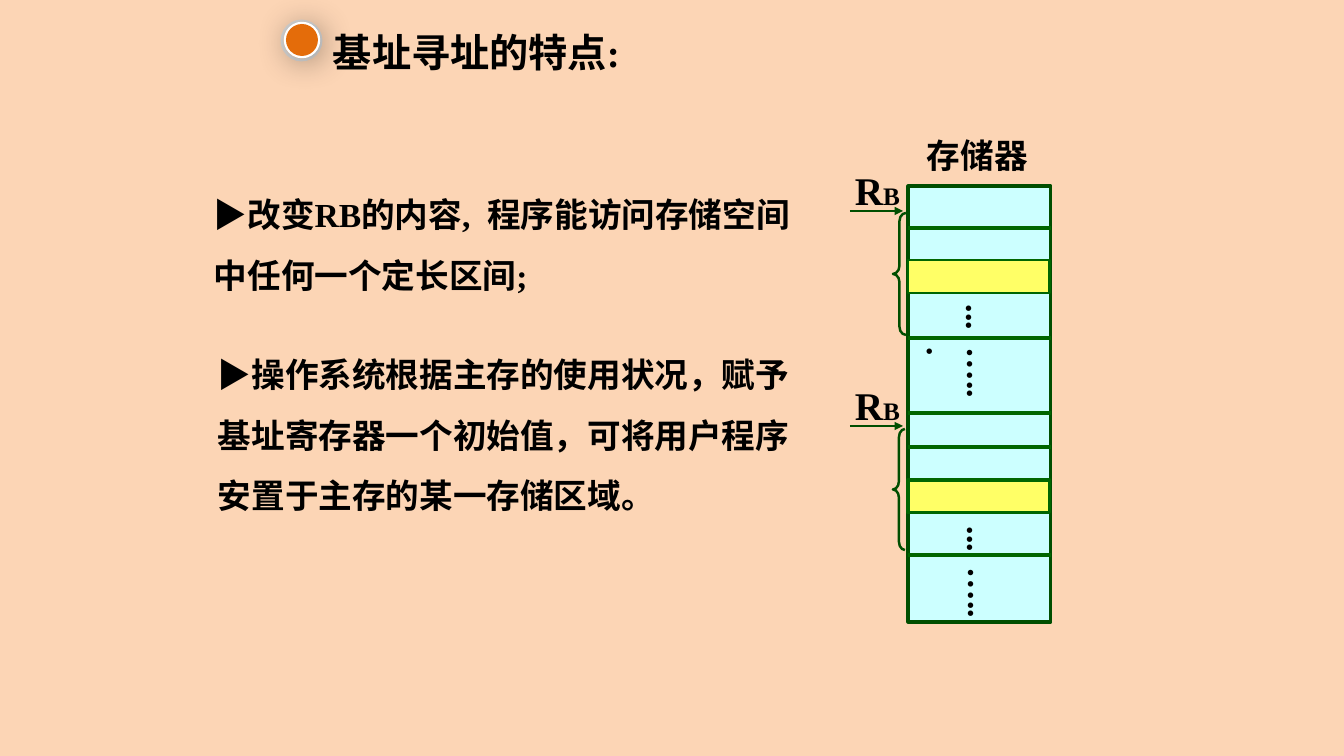
"""Builds a slide on the features of base-register addressing."""
from dataclasses import dataclass

from lxml import etree
from pptx import Presentation
from pptx.dml.color import RGBColor
from pptx.enum.shapes import MSO_CONNECTOR, MSO_SHAPE
from pptx.enum.text import MSO_AUTO_SIZE
from pptx.oxml.ns import qn
from pptx.util import Pt

STRAIGHT = MSO_CONNECTOR.STRAIGHT
RECTANGLE = MSO_SHAPE.RECTANGLE
OVAL = MSO_SHAPE.OVAL
LEFT_BRACE = MSO_SHAPE.LEFT_BRACE
GROW = MSO_AUTO_SIZE.SHAPE_TO_FIT_TEXT


@dataclass(frozen=True)
class Theme:
    background: str = "FCD5B5"
    ink: str = "000000"
    outline: str = "004E00"
    divider: str = "006600"
    memory: str = "CCFFFF"
    target: str = "FFFF66"
    bullet: str = "E46C0A"
    ring: str = "D9D9D9"
    halo: str = "FFFFFF"
    halo_fill: tuple = ("F6F9FC", "F2F2F2")
    latin: str = "Times New Roman"
    chinese: str = "Noto Sans CJK SC"
    large: int = 28
    body: int = 24
    small: int = 18


class SlideBuilder:
    def __init__(self, theme, width, height):
        self.theme = theme
        self.deck = Presentation()
        self.deck.slide_width = self.px(width)
        self.deck.slide_height = self.px(height)
        self.slide = self.deck.slides.add_slide(self.deck.slide_layouts[6])
        background = self.slide.background.fill
        background.solid()
        background.fore_color.rgb = RGBColor.from_string(theme.background)

    @staticmethod
    def px(length):
        return round(length * 914400 / 100.8)

    def text(self, box, runs, spacing=1.0, vertical=False):
        label = self.slide.shapes.add_textbox(*map(self.px, box))
        frame = label.text_frame
        for name, value in {"word_wrap": True, "auto_size": GROW}.items():
            setattr(frame, name, value)
        if vertical:
            label.element.txBody.bodyPr.set("vert", "eaVert")
        paragraph = frame.paragraphs[0]
        paragraph.line_spacing = spacing
        for words, size, face in runs:
            run = paragraph.add_run()
            run.text = words
            style = {"size": Pt(size), "bold": True, "name": face}
            for name, value in style.items():
                setattr(run.font, name, value)
            run.font.color.rgb = RGBColor.from_string(self.theme.ink)
            if face == self.theme.chinese:
                east_asian = etree.SubElement(run.font._element, qn("a:ea"))
                east_asian.set("typeface", face)

    def shape(self, kind, box, fill=None, line=None, weight=0, adjust=None):
        figure = self.slide.shapes.add_shape(kind, *map(self.px, box))
        figure.shadow.inherit = False
        if fill:
            figure.fill.solid()
            figure.fill.fore_color.rgb = RGBColor.from_string(fill)
        else:
            figure.fill.background()
        if line:
            figure.line.color.rgb = RGBColor.from_string(line)
            figure.line.width = Pt(weight)
        else:
            figure.line.fill.background()
        if adjust:
            figure.adjustments[0] = adjust
        return figure

    def line(self, start, end, color, weight, arrow=False):
        connector = self.slide.shapes.add_connector(
            STRAIGHT, *map(self.px, (*start, *end)))
        connector.line.color.rgb = RGBColor.from_string(color)
        connector.line.width = Pt(weight)
        if arrow:
            tail = etree.SubElement(connector.line._get_or_add_ln(), qn("a:tailEnd"))
            tail.set("type", "triangle")
        etree.SubElement(connector.element.spPr, qn("a:effectLst"))

    def soft_disc(self, box, colors, line, weight):
        disc = self.shape(OVAL, box, line=line, weight=weight)
        disc.fill.gradient()
        disc.fill.gradient_angle = 270
        for stop, color in zip(disc.fill.gradient_stops, colors):
            stop.color.rgb = RGBColor.from_string(color)
        effects = disc.element.spPr.find(qn("a:effectLst"))
        shadow = etree.SubElement(effects, qn("a:outerShdw"))
        settings = {"blurRad": Pt(24), "dist": Pt(3), "dir": 45 * 60000}
        for name, value in settings.items():
            shadow.set(name, str(value))
        tint = etree.SubElement(shadow, qn("a:srgbClr"), val=self.theme.ink)
        etree.SubElement(tint, qn("a:alpha"), val="39000")


def draw_memory(page):
    theme = page.theme
    left, width = 908, 143
    page.text((917, 130, 142, 50), [("存储器", theme.body, theme.latin)])
    page.shape(RECTANGLE, (left, 186, width, 436), theme.memory, theme.outline, 2.25)
    for y in (228, 338, 413, 447, 555):
        page.line((left, y), (left + width, y), theme.divider, 2.25)
    for y, weight in ((260, 2), (480, 2.25)):
        page.shape(RECTANGLE, (left, y, width - 1, 33), theme.target,
                   theme.divider, weight)
    for dots, x, y, height in (("...", 944, 295, 58), ("...", 945, 517, 58),
                               ("…...", 945, 338, 76), ("…..", 946, 558, 76)):
        page.text((x, y, 61, height), [(dots, theme.body, theme.latin)], vertical=True)


def draw_base_registers(page):
    theme = page.theme
    register = [("R", theme.large, theme.latin), ("B", theme.small, theme.latin)]
    for label_y, brace_box, bend in ((161, (893, 213, 13, 122), 0.63),
                                     (376, (893, 429, 12, 121), 0.69)):
        arrow_y = label_y + 50
        page.text((845, label_y, 74, 57), register)
        page.line((850, arrow_y), (903, arrow_y), theme.outline, 2, arrow=True)
        page.shape(LEFT_BRACE, brace_box, line=theme.outline, weight=1.75, adjust=bend)


def draw_features(page):
    theme = page.theme
    page.text((204, 169, 615, 125), [
        (words, theme.body, face) for words, face in (
            ("▶改变", theme.chinese), ("RB", theme.latin),
            ("的内容", theme.chinese), (",  ", theme.latin),
            ("程序能访问存储空间中任何一个定长区间", theme.chinese),
            (";", theme.latin))], spacing=1.5)
    page.text((208, 329, 619, 183), [
        ("▶操作系统根据主存的使用状况，赋予基址寄存器一个初始值，"
         "可将用户程序安置于主存的某一存储区域。", theme.body, theme.chinese)],
        spacing=1.5)


def draw_title(page):
    theme = page.theme
    page.text((323, 0, 417, 73), [("基址寻址的特点:", theme.large, theme.latin)],
              spacing=1.5)
    page.shape(OVAL, (282, 21, 39, 39), line=theme.ring, weight=2)
    page.soft_disc((285, 23, 34, 34), theme.halo_fill, theme.halo, 1.75)
    page.shape(OVAL, (286, 24, 32, 32), theme.bullet)


def main():
    page = SlideBuilder(Theme(), 1344, 756)
    draw_base_registers(page)
    draw_memory(page)
    draw_features(page)
    draw_title(page)
    page.deck.save("out.pptx")


if __name__ == "__main__":
    main()
